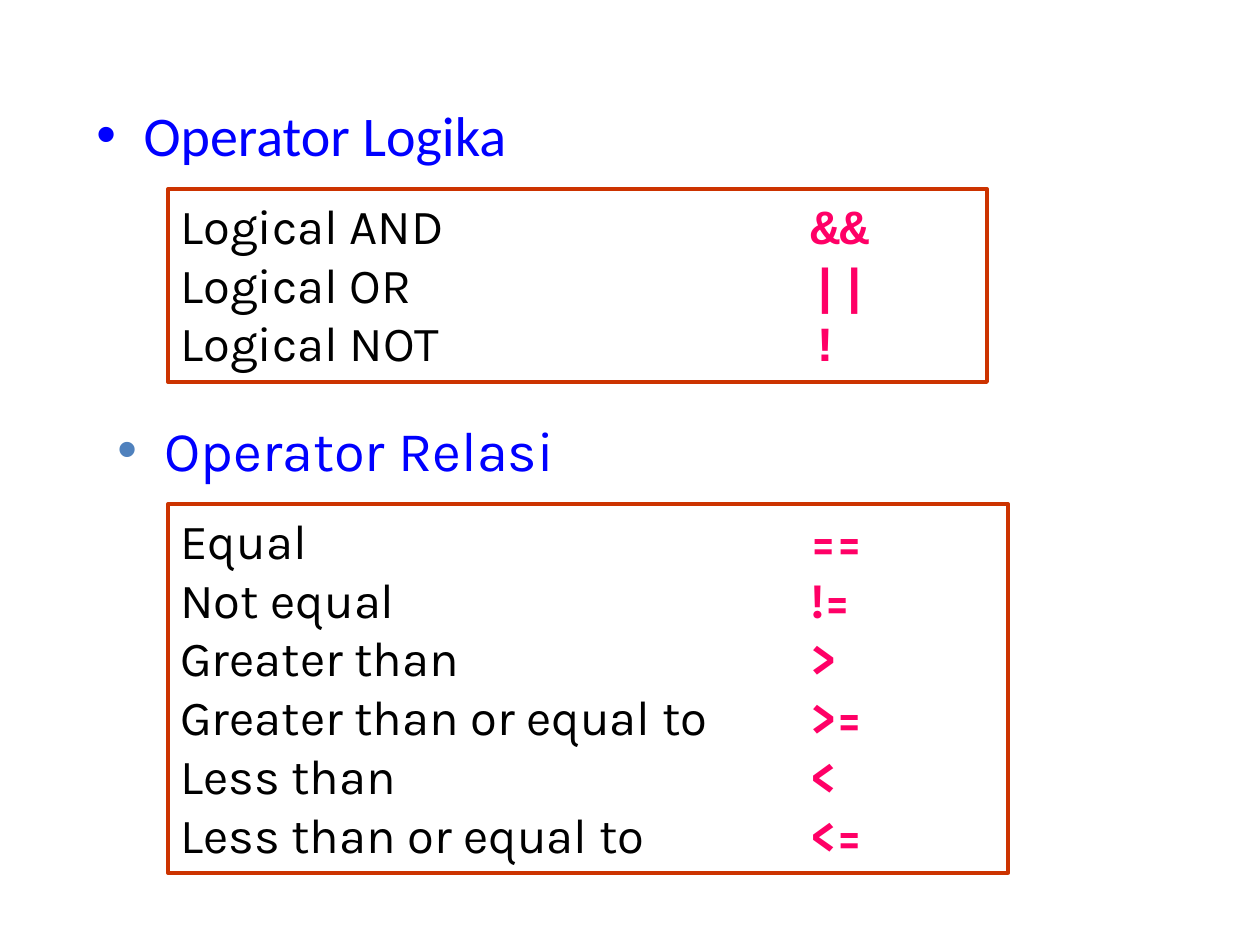
from lxml import etree
from pptx import Presentation
from pptx import util as u
from pptx.dml.color import RGBColor
from pptx.enum import shapes, text
from pptx.oxml import ns

PX = 9525
BLUE, BLACK, PINK, RUST, STEEL = "0000FF", "000000", "FF0066", "CC3300", "4F81BD"
LOGICAL = [("Logical AND", "&&"), ("Logical OR", "||"), ("Logical NOT", "!")]
RELATIONAL = [
    ("Equal", "=="),
    ("Not equal", "!="),
    ("Greater than", ">"),
    ("Greater than or equal to", ">="),
    ("Less than", "<"),
    ("Less than or equal to", "<="),
]


def px(n):
    """Turn px into EMU."""
    return u.Emu(n * PX)


def color(value):
    """Turn a hex string into a colour."""
    return RGBColor.from_string(value)


def add_xml(parent, tag, **attrs):
    """Append a DrawingML element and return it."""
    attrs = {k: str(v) for k, v in attrs.items()}
    return etree.SubElement(parent, ns.qn(tag), attrs)


def add_run(p, content, fill, **fmt):
    """Add a run with its font settings."""
    r = p.add_run()
    r.text = content
    r.font.color.rgb = color(fill)
    for name, value in fmt.items():
        setattr(r.font, name, value)


def add_heading(s, content, x, y, font, bullet):
    """Add a bulleted heading."""
    tf = s.shapes.add_textbox(px(x), px(y), px(816), px(64)).text_frame
    tf.word_wrap = True
    p = tf.paragraphs[0]
    add_run(p, content, BLUE, name=font, size=u.Pt(32))
    pPr = p._p.get_or_add_pPr()
    pPr.set("marL", str(px(36)))
    pPr.set("indent", str(px(-36)))
    add_xml(add_xml(pPr, "a:spcBef"), "a:spcPct", val=20000)
    add_xml(add_xml(pPr, "a:buClr"), "a:srgbClr", val=bullet)
    add_xml(pPr, "a:buFont", typeface="Arial")
    add_xml(pPr, "a:buChar", char="•")


def add_operator_box(s, rows, y, w, h, symbol_font):
    """Add a framed list of operator names and symbols."""
    sp = s.shapes.add_shape(shapes.MSO_SHAPE.RECTANGLE, px(128), px(y), px(w), px(h))
    sp.shadow.inherit = False
    sp.fill.background()
    sp.line.color.rgb = color(RUST)
    sp.line.width = u.Pt(2.25)
    tf = sp.text_frame
    tf.word_wrap = True
    tf.vertical_anchor = text.MSO_ANCHOR.TOP
    for i, (label, symbol) in enumerate(rows):
        p = tf.add_paragraph() if i else tf.paragraphs[0]
        p.alignment = text.PP_ALIGN.JUSTIFY
        tabs = add_xml(p._p.get_or_add_pPr(), "a:tabLst")
        add_xml(tabs, "a:tab", pos=px(480), algn="l")
        add_run(p, label + "\t", BLACK, name="Karla", size=u.Pt(28))
        add_run(p, symbol, PINK, name=symbol_font, size=u.Pt(28), bold=True)


def main():
    """Build the slide of logical and relational operators."""
    prs = Presentation()
    prs.slide_width, prs.slide_height = px(960), px(720)
    s = prs.slides.add_slide(prs.slide_layouts[6])
    add_heading(s, "Operator Logika", 64, 72, "Calibri", BLUE)
    add_operator_box(s, LOGICAL, 144, 624, 147, "Courier New")
    add_heading(s, "Operator Relasi", 80, 312, "Karla", STEEL)
    add_operator_box(s, RELATIONAL, 384, 640, 281, "Karla")
    prs.save("out.pptx")


if __name__ == "__main__":
    main()
